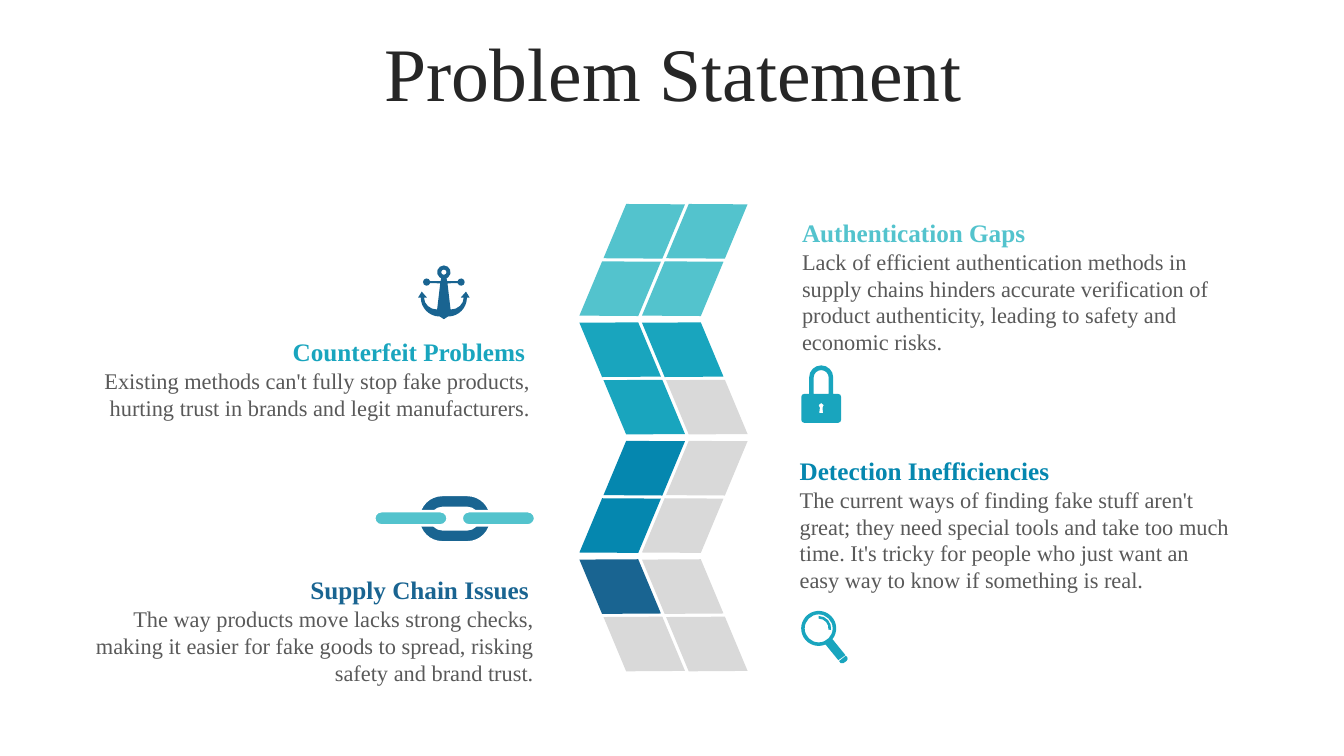
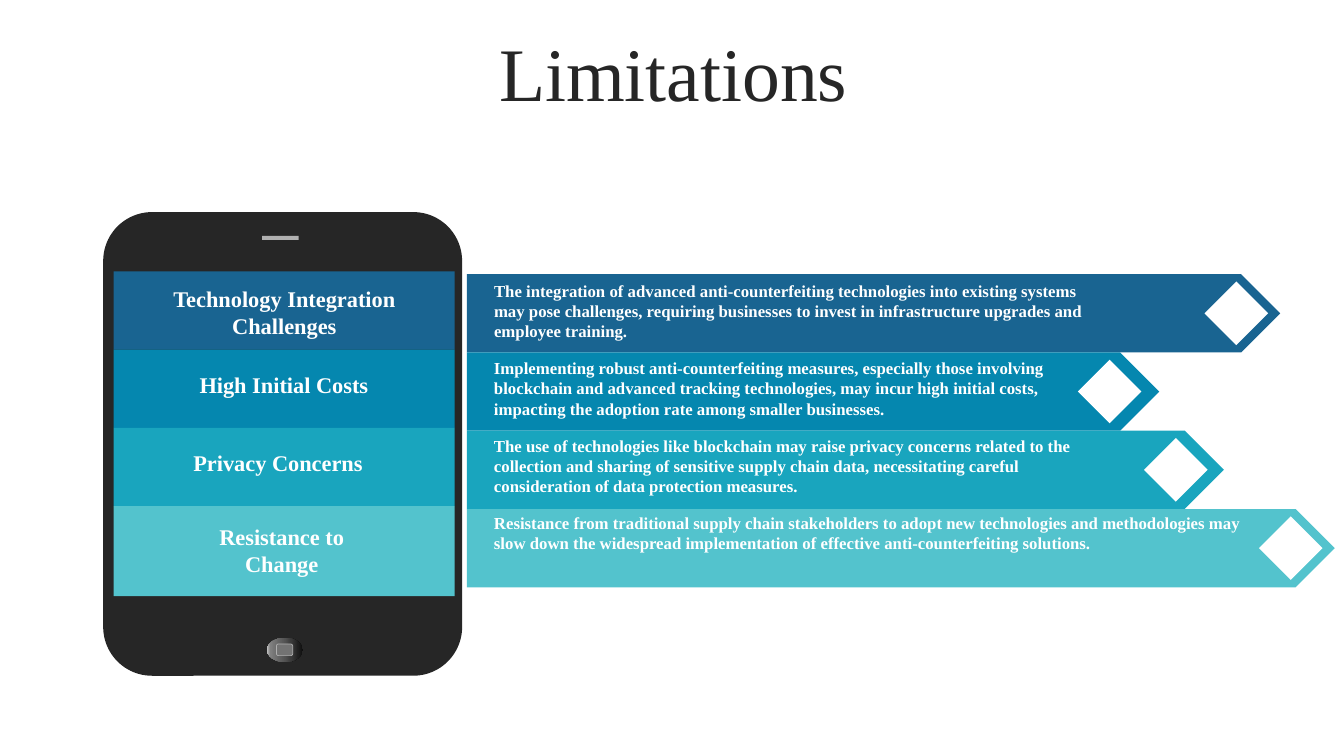
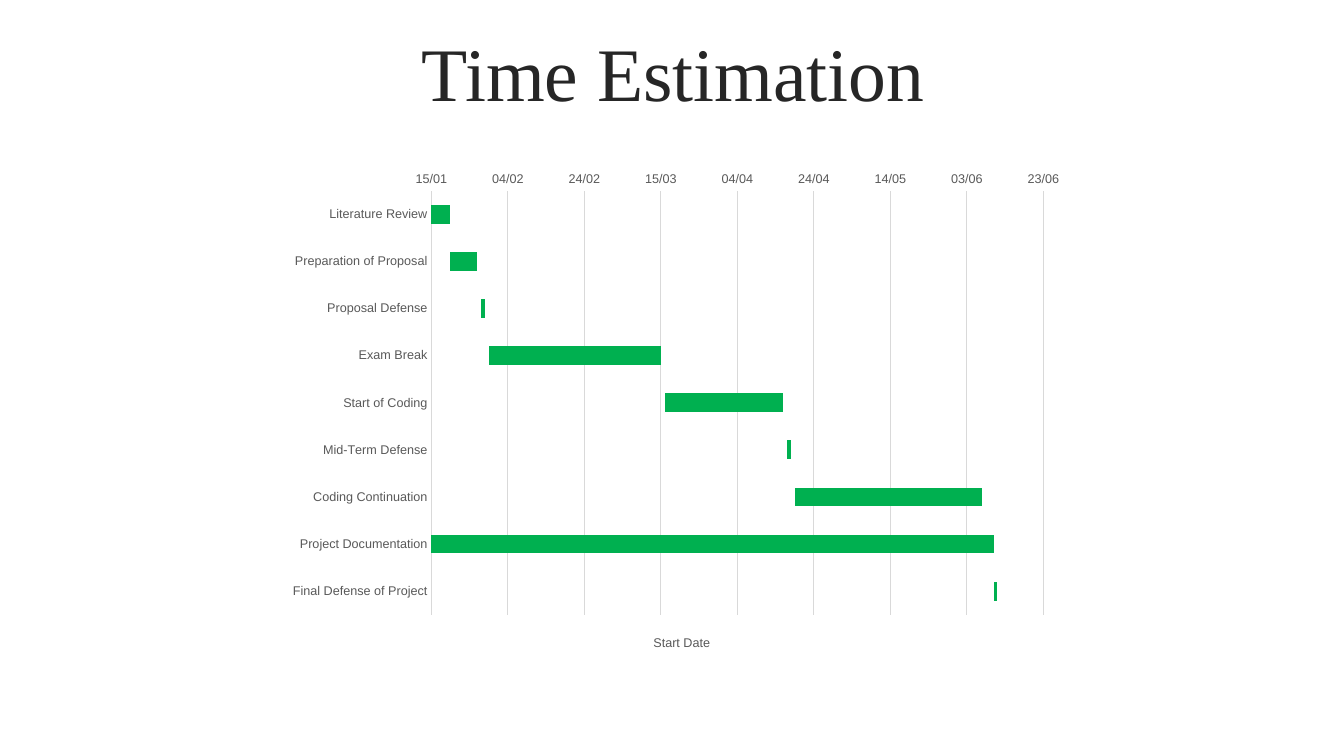
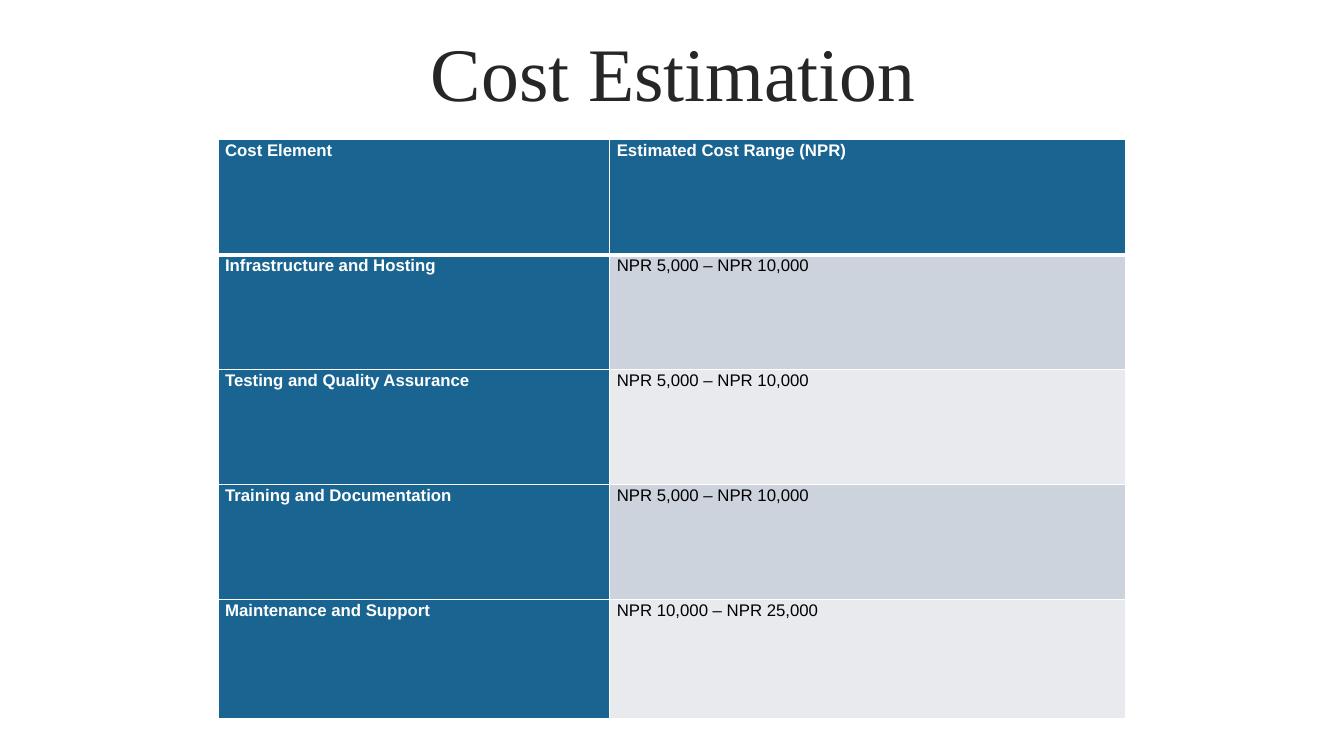
from copy import deepcopy
from itertools import chain
from math import ceil, cos, radians, sin, tan

from pptx import Presentation
from pptx.chart.data import CategoryChartData
from pptx.dml.color import RGBColor
from pptx.enum.chart import XL_CHART_TYPE, XL_LEGEND_POSITION, XL_TICK_MARK
from pptx.enum.shapes import MSO_SHAPE
from pptx.enum.text import MSO_ANCHOR, MSO_AUTO_SIZE, PP_ALIGN
from pptx.oxml import parse_xml
from pptx.oxml.ns import nsdecls, qn
from pptx.util import Pt

SERIF, SANS = "Times New Roman", "Arial"
NAVY, BLUE, TEAL, AQUA = "196491", "0587AF", "19A5BE", "53C3CD"
INK, GREY, PALE, WHITE, BLACK = "262626", "595959", "D9D9D9", "FFFFFF", "000000"
SILVER, GREEN = "B0B0B0", "00B050"
BANDS = ("CCD3DC", "E8EAEE")


def rgb(colour):
    """Turn a hex string into a colour."""
    return RGBColor.from_string(colour)


def paint(shape, fill, line=None, width=1.75):
    """Give a shape a flat fill, an optional outline and no shadow."""
    shape.shadow.inherit = False
    shape.fill.solid()
    shape.fill.fore_color.rgb = rgb(fill)
    if line:
        shape.line.color.rgb = rgb(line)
        shape.line.width = Pt(width)
    else:
        shape.line.fill.background()
    return shape


def style_font(font, size, colour, name=SERIF, bold=False):
    """Set size, colour, typeface and weight of a font."""
    font.size, font.name, font.bold = Pt(size), name, bold
    font.color.rgb = rgb(colour)


def add_box(slide, kind, left, top, width, height, fill, line=None, line_width=1.75):
    """Add a painted preset shape."""
    shape = slide.shapes.add_shape(kind, Pt(left), Pt(top), Pt(width), Pt(height))
    return paint(shape, fill, line, line_width)


def add_text(slide, text, left, top, width, height, size, colour, bold=False, align=PP_ALIGN.LEFT):
    """Add a wrapped one-paragraph text box."""
    frame = slide.shapes.add_textbox(Pt(left), Pt(top), Pt(width), Pt(height)).text_frame
    frame.word_wrap = True
    frame.text = text
    frame.paragraphs[0].alignment = align
    style_font(frame.paragraphs[0].font, size, colour, bold=bold)


def add_titled_slide(prs, title):
    """Add a title-only slide with the shared title style."""
    slide = prs.slides.add_slide(prs.slide_layouts[5])
    heading = slide.shapes.title
    heading.left, heading.top, heading.width, heading.height = Pt(25.3), Pt(26.6), Pt(911.5), Pt(56.9)
    frame = heading.text_frame
    frame.text = title
    frame.auto_size = MSO_AUTO_SIZE.NONE
    frame.vertical_anchor = MSO_ANCHOR.MIDDLE
    paragraph = frame.paragraphs[0]
    paragraph.alignment = PP_ALIGN.CENTER
    paragraph.line_spacing, paragraph.space_before = 0.9, Pt(10)
    style_font(paragraph.font, 54, INK)
    return slide


def arc(x, y, radius, start, end, radius_y=None):
    """List an arc's start and its Bézier points, numbered 0 to 2; angles run clockwise."""
    radius_y = radius_y or radius
    pieces = ceil(abs(end - start) / 90)
    turn = radians(end - start) / pieces
    reach = 4 / 3 * tan(turn / 4)
    first = radians(start)
    points = [(x + radius * cos(first), y + radius_y * sin(first))]
    for piece in range(pieces):
        a, b = first + piece * turn, first + (piece + 1) * turn
        controls = (
            (cos(a) - reach * sin(a), sin(a) + reach * cos(a)),
            (cos(b) + reach * sin(b), sin(b) - reach * cos(b)),
            (cos(b), sin(b)),
        )
        points += [(x + radius * u, y + radius_y * v, order) for order, (u, v) in enumerate(controls)]
    return points


def mirror(points):
    """Reflect an outline in x = 0 and run through it backwards."""
    mirrored, previous_order = [], None
    for x, y, *order in reversed(points):
        if previous_order is None:
            mirrored.append((-x, y))
        else:
            mirrored.append((-x, y, 2 - previous_order))
        previous_order = order[0] if order else None
    return mirrored


def bend(shape, points):
    """Join each three numbered points of an outline into one curve."""
    outline = shape.element.find(".//" + qn("a:path"))
    nodes = [node for node in outline if node.tag != qn("a:close")]
    curve = None
    for node, (_, _, *order) in zip(nodes, points):
        if order:
            if order[0] == 0:
                curve = outline.makeelement(qn("a:cubicBezTo"))
                node.addprevious(curve)
            curve.append(node[0])
            outline.remove(node)


def add_icon(slide, left, top, contours, fill, line=None):
    """Draw contours, relative to left and top, as one outline with holes."""
    placed = [[(Pt(left + x), Pt(top + y)) for x, y, *_ in contour] for contour in contours]
    builder = slide.shapes.build_freeform(*placed[0][0])
    for number, contour in enumerate(placed):
        if number:
            builder.move_to(*contour[0])
        builder.add_line_segments(contour[1:], close=True)
    shape = paint(builder.convert_to_shape(), fill, line)
    bend(shape, chain.from_iterable(contours))


def add_anchor(slide):
    """Draw the anchor from its right half and the mirror of it."""
    right = (
        arc(0, 5, 4.8, -90, 50) + [(1.9, 9.4), (2.3, 11.4), (9.8, 11.4)]
        + arc(12.3, 12.1, 2.6, 195, 525) + [(2.6, 13)]
        + arc(4.8, 23.1, 9.4, 90, 0, 8.6) + [(12.1, 23.1), (15.8, 18.9), (18.4, 23.1)]
        + arc(2.9, 23.1, 13.6, 0, 90) + [(0, 38.6)]
    )
    add_icon(slide, 317.1, 189.4, [right + mirror(right), arc(0, 5, 1.9, 0, 360)], NAVY)


def add_padlock(slide):
    """Draw the padlock."""
    body = (
        arc(2, 22.4, 2, 180, 270) + [(5.6, 20.4)] + arc(14.2, 8.6, 8.6, 180, 360) + [(22.8, 20.4)]
        + arc(26.4, 22.4, 2, 270, 360) + arc(26.4, 39, 2, 0, 90) + arc(2, 39, 2, 90, 180)
    )
    opening = [(8.8, 20.4)] + arc(14.2, 8.8, 5.4, 180, 360) + [(19.6, 20.4)]
    keyhole = arc(14.2, 28.8, 1.9, 120, 420) + [(15.6, 34.2), (12.8, 34.2)]
    add_icon(slide, 572.4, 261, [body, opening, keyhole], TEAL)


def add_chain(slide):
    """Draw the chain: one open link and two bars through it."""
    link = [arc(0, 0, r, 90, 270) + arc(18, 0, r, -90, 90) for r in (16.9, 7.6)]
    add_icon(slide, 315.9, 370.5, link, NAVY, WHITE)
    for left in (329.8, 267.3):
        bar = add_box(slide, MSO_SHAPE.ROUNDED_RECTANGLE, left, 365.2, 52.4, 10.1, AQUA, WHITE)
        bar.adjustments[0] = 0.5


def add_magnifier(slide):
    """Draw the magnifier around the centre of its lens."""
    rim = arc(0, 0, 12.5, 67, 398) + [(19.1, 19.1), (14, 22.7)]
    glint = arc(0, 0, 8.9, -90, 7) + arc(0, 0, 7, 7, -90)
    tail = [(19.3, 19.6), (20.5, 20.5), (20.6, 22), (19.8, 23.4), (17.6, 24.8), (15.7, 24.8), (14.6, 23.3)]
    add_icon(slide, 584.8, 448.9, [rim, arc(0, 0, 10, 0, 360), glint, tail], TEAL)


def add_zigzag(slide):
    """Stack four two-by-two chevrons, each with one coloured tile fewer."""
    for segment, colour in enumerate((AQUA, TEAL, BLUE, NAVY)):
        for tile in range(4):
            column, row = divmod(tile, 2)
            outward = (segment + row) % 2 == 0
            diamond = add_box(
                slide, MSO_SHAPE.FLOWCHART_DECISION,
                (425.3 if outward else 408.1) + 44.7 * column, 141.8 + 84.6 * segment + 41 * row,
                69.8, 46.8, colour if tile < 4 - segment else PALE)
            diamond.rotation = 33.5 if segment % 2 else -33.5


def build_problem(prs):
    """Build the problem statement slide."""
    slide = add_titled_slide(prs, "Problem Statement")
    add_zigzag(slide)
    right, left = PP_ALIGN.RIGHT, PP_ALIGN.LEFT
    issues = (
        ("Authentication Gaps", AQUA, left, 565.8, 151.9, 85,
         "Lack of efficient authentication methods in supply chains hinders accurate verification of "
         "product authenticity, leading to safety and economic risks."),
        ("Detection Inefficiencies", BLUE, left, 564.1, 321.9, 85,
         "The current ways of finding fake stuff aren't great; they need special tools and take too "
         "much time. It's tricky for people who just want an easy way to know if something is real."),
        ("Counterfeit Problems", TEAL, right, 57.2, 236.9, 46,
         "Existing methods can't fully stop fake products, hurting trust in brands and legit manufacturers."),
        ("Supply Chain Issues", NAVY, right, 59.8, 407, 65.5,
         "The way products move lacks strong checks, making it easier for fake goods to spread, "
         "risking safety and brand trust."),
    )
    for heading, colour, align, x, y, height, detail in issues:
        add_text(slide, detail, x, y + 21.6, 322.5 if align == left else 328.3, height, 16, GREY, align=align)
        add_text(slide, heading, x, y, 325, 29, 18, colour, True, align)
    add_padlock(slide)
    add_anchor(slide)
    add_chain(slide)
    add_magnifier(slide)


def add_phone(slide):
    """Draw the phone's case, speaker and home button."""
    case = add_box(slide, MSO_SHAPE.ROUNDED_RECTANGLE, 73.7, 151.5, 256.4, 331.2, INK)
    case.adjustments[0] = 0.136
    add_box(slide, MSO_SHAPE.RECTANGLE, 187.2, 168.5, 26.2, 2.9, SILVER)
    button = add_box(slide, MSO_SHAPE.OVAL, 190.8, 455.4, 25.6, 17.6, GREY)
    button.fill.gradient()
    button.fill.gradient_angle = 180
    stops = button.element.spPr.find(".//" + qn("a:gsLst"))
    stops.extend([deepcopy(stops[-1]) for _ in range(2)])
    shades = ((0, "0F0F0F"), (0.56, GREY), (0.91, "808080"), (1, "BFBFBF"))
    for stop, (position, colour) in zip(button.fill.gradient_stops, shades):
        stop.position = position
        stop.color.rgb = rgb(colour)
    add_box(slide, MSO_SHAPE.ROUNDED_RECTANGLE, 197.5, 460, 11.6, 8.3, "737373", SILVER, 0.5)


def build_limitations(prs):
    """Build the phone with one arrow per limitation."""
    slide = add_titled_slide(prs, "Limitations")
    add_phone(slide)
    limits = (
        (NAVY, "Technology Integration Challenges", (99.4, 200.2, 207.4, 46), 581, 860.4, 454.3,
         "The integration of advanced anti-counterfeiting technologies into existing systems may pose "
         "challenges, requiring businesses to invest in infrastructure upgrades and employee training."),
        (BLUE, "High Initial Costs", (119.7, 261.4, 166.3, 26.6), 494.6, 769.9, 436.3,
         "Implementing robust anti-counterfeiting measures, especially those involving blockchain and "
         "advanced tracking technologies, may incur high initial costs, impacting the adoption rate "
         "among smaller businesses."),
        (TEAL, "Privacy Concerns", (122.3, 317.1, 152.6, 26.6), 540.7, 817.2, 448.6,
         "The use of technologies like blockchain may raise privacy concerns related to the collection "
         "and sharing of sensitive supply chain data, necessitating careful consideration of data "
         "protection measures."),
        (AQUA, "Resistance to Change", (124.9, 370.1, 152.6, 46), 619.9, 899.3, 568.8,
         "Resistance from traditional supply chain stakeholders to adopt new technologies and "
         "methodologies may slow down the widespread implementation of effective anti-counterfeiting "
         "solutions."),
    )
    for row, (colour, label, label_box, length, diamond_left, detail_width, detail) in enumerate(limits):
        offset = 55.9 * row
        add_box(slide, MSO_SHAPE.PENTAGON, 333.5, 195.9 + offset, length, 55.9, colour)
        add_box(slide, MSO_SHAPE.DIAMOND, diamond_left, 201.1 + offset, 45.4, 45.4, WHITE)
        panel_height = 64.4 if row == len(limits) - 1 else 55.9
        add_box(slide, MSO_SHAPE.RECTANGLE, 81.2, 193.8 + offset, 243.6, panel_height, colour)
        add_text(slide, label, *label_box, 16, WHITE, True, PP_ALIGN.CENTER)
        add_text(slide, detail, 345.8, 196.8 + 55.3 * row, detail_width, 51, 12, WHITE, True)


def build_schedule(prs):
    """Build the Gantt chart of the project."""
    slide = add_titled_slide(prs, "Time Estimation")
    tasks = (
        ("Literature Review", 45306, 5), ("Preparation of Proposal", 45311, 7),
        ("Proposal Defense", 45319, 1), ("Exam Break", 45321, 45), ("Start of Coding", 45367, 31),
        ("Mid-Term Defense", 45399, 1), ("Coding Continuation", 45401, 49),
        ("Project Documentation", 45306, 147), ("Final Defense of Project", 45453, 1),
    )
    names, starts, durations = zip(*tasks)
    data = CategoryChartData()
    data.categories = names
    data.add_series("Start Date", starts)
    data.add_series("Duration in Days", durations)
    chart = slide.shapes.add_chart(
        XL_CHART_TYPE.BAR_STACKED, Pt(197.8), Pt(116.1), Pt(570.2), Pt(351.4), data).chart
    style_font(chart.font, 10, BLACK, SANS)
    chart.has_title = False
    chart.has_legend = True
    chart.legend.position = XL_LEGEND_POSITION.BOTTOM
    chart.legend.include_in_layout = False
    style_font(chart.legend.font, 9, GREY, SANS)
    hidden_entry = parse_xml(
        f'<c:legendEntry {nsdecls("c")}><c:idx val="0"/><c:delete val="1"/></c:legendEntry>')
    chart.legend._element.find(qn("c:legendPos")).addnext(hidden_entry)

    plot = chart.plots[0]
    plot.gap_width, plot.overlap, plot.vary_by_categories = 150, 100, False
    start_bars, duration_bars = plot.series
    start_bars.format.fill.background()
    duration_bars.format.fill.solid()
    duration_bars.format.fill.fore_color.rgb = rgb(GREEN)

    task_axis, date_axis = chart.category_axis, chart.value_axis
    for axis in (task_axis, date_axis):
        axis.major_tick_mark = axis.minor_tick_mark = XL_TICK_MARK.NONE
        style_font(axis.tick_labels.font, 9, GREY, SANS)
    task_axis.reverse_order = True
    date_axis.minimum_scale, date_axis.maximum_scale, date_axis.major_unit = 45306, 45466, 20
    date_axis.tick_labels.number_format = "dd/mm"
    date_axis.tick_labels.number_format_is_linked = False
    date_axis.format.line.fill.background()
    for line in (task_axis.format.line, date_axis.major_gridlines.format.line):
        line.color.rgb = rgb(PALE)
        line.width = Pt(0.75)


def fill_cell(cell, text, fill, colour, bold, top, bottom):
    """Write a table cell with white borders; top and bottom are widths."""
    cell.margin_left = cell.margin_right = Pt(5)
    cell.margin_top = cell.margin_bottom = 0
    properties = cell._tc.get_or_add_tcPr()
    for side, width in (("L", 1), ("R", 1), ("T", top), ("B", bottom)):
        properties.append(parse_xml(
            f'<a:ln{side} {nsdecls("a")} w="{Pt(width)}"><a:solidFill><a:srgbClr val="{WHITE}"/>'
            f'</a:solidFill></a:ln{side}>'))
    cell.fill.solid()
    cell.fill.fore_color.rgb = rgb(fill)
    cell.text = text
    paragraph = cell.text_frame.paragraphs[0]
    paragraph.alignment = PP_ALIGN.JUSTIFY
    paragraph.line_spacing, paragraph.space_after = 1.07, Pt(8)
    style_font(paragraph.font, 12, colour, SANS, bold)


def build_costs(prs):
    """Build the cost table."""
    slide = add_titled_slide(prs, "Cost Estimation")
    costs = (
        ("Cost Element", "Estimated Cost Range (NPR)"),
        ("Infrastructure and Hosting", "NPR 5,000 – NPR 10,000"),
        ("Testing and Quality Assurance", "NPR 5,000 – NPR 10,000"),
        ("Training and Documentation", "NPR 5,000 – NPR 10,000"),
        ("Maintenance and Support", "NPR 10,000 – NPR 25,000"),
    )
    table = slide.shapes.add_table(len(costs), 2, Pt(155.8), Pt(99.8), Pt(648.4), Pt(413.4)).table
    table.columns[0].width, table.columns[1].width = Pt(279.8), Pt(368.6)
    for row, texts in enumerate(costs):
        table.rows[row].height = Pt(85 if row == len(costs) - 1 else 82.1)
        for column, text in enumerate(texts):
            heading = row == 0 or column == 0
            fill_cell(
                table.cell(row, column), text,
                NAVY if heading else BANDS[(row - 1) % 2], WHITE if heading else BLACK, heading,
                top=3 if row == 1 else 1, bottom=3 if row == 0 else 1)


def main():
    """Build and save the presentation."""
    prs = Presentation()
    prs.slide_width, prs.slide_height = Pt(960), Pt(540)
    build_problem(prs)
    build_limitations(prs)
    build_schedule(prs)
    build_costs(prs)
    prs.save("out.pptx")


if __name__ == "__main__":
    main()
